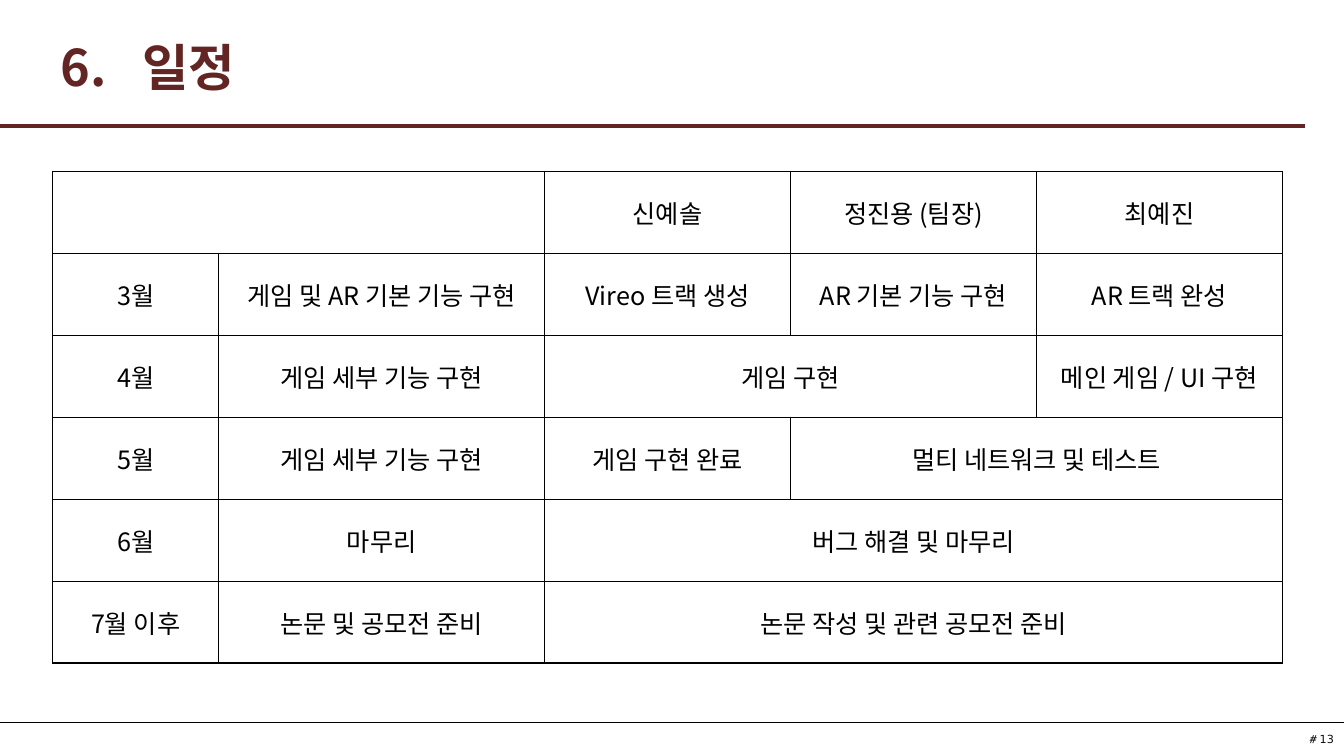
from lxml.etree import SubElement
from pptx import Presentation
from pptx.dml.color import RGBColor
from pptx.enum.shapes import MSO_CONNECTOR
from pptx.enum.text import MSO_ANCHOR, PP_ALIGN
from pptx.oxml import parse_xml
from pptx.oxml.ns import nsdecls, qn
from pptx.util import Inches, Pt

WIDTH, HEIGHT = 13.33, 7.5
MAROON, BLACK, NEAR_BLACK = "632523", "000000", "0D0D0D"
KOREAN_FONT = "Noto Sans CJK KR"

COLUMN_WIDTHS = [1.65, 3.23, 2.44, 2.44, 2.44]
ROW_HEIGHT = 4.88 / 6
# Each entry is (text, number of columns it covers)
SCHEDULE = [
    [("", 2), ("신예솔", 1), ("정진용 (팀장)", 1), ("최예진", 1)],
    [("3월", 1), ("게임 및 AR 기본 기능 구현", 1), ("Vireo 트랙 생성", 1),
     ("AR 기본 기능 구현", 1), ("AR 트랙 완성", 1)],
    [("4월", 1), ("게임 세부 기능 구현", 1), ("게임 구현", 2), ("메인 게임 / UI 구현", 1)],
    [("5월", 1), ("게임 세부 기능 구현", 1), ("게임 구현 완료", 1), ("멀티 네트워크 및 테스트", 2)],
    [("6월", 1), ("마무리", 1), ("버그 해결 및 마무리", 3)],
    [("7월 이후", 1), ("논문 및 공모전 준비", 1), ("논문 작성 및 관련 공모전 준비", 3)],
]


def color(value):
    return RGBColor.from_string(value)


def style(paragraph, size, name, value, bold=False):
    font = paragraph.font
    font.size, font.name, font.bold = Pt(size), name, bold
    font.color.rgb = color(value)
    # Hangul takes its typeface from the East Asian slot
    properties = paragraph._p.pPr.find(qn("a:defRPr"))
    SubElement(properties, qn("a:ea"), typeface=KOREAN_FONT)


def add_rule(slide, y, width, value, weight):
    line = slide.shapes.add_connector(
        MSO_CONNECTOR.STRAIGHT, 0, Inches(y), Inches(width), Inches(y))
    line.line.color.rgb = color(value)
    line.line.width = Pt(weight)
    SubElement(line._element.spPr, qn("a:effectLst"))


def add_title(slide, text, number):
    box = slide.shapes.add_textbox(Inches(0.4), Inches(0.22), Inches(12), Inches(0.87))
    frame = box.text_frame
    frame.word_wrap = True
    frame.vertical_anchor = MSO_ANCHOR.MIDDLE
    frame.margin_left = Inches(0.2)
    paragraph = frame.paragraphs[0]
    paragraph.text = text
    # Automatic number with a hanging indent
    properties = paragraph._p.get_or_add_pPr()
    indent = Inches(0.81)
    properties.set("marL", str(indent))
    properties.set("indent", str(-indent))
    bullet_color = SubElement(properties, qn("a:buClr"))
    SubElement(bullet_color, qn("a:srgbClr"), val=MAROON)
    SubElement(properties, qn("a:buFont"), typeface="+mj-lt")
    SubElement(properties, qn("a:buAutoNum"), type="arabicPeriod", startAt=str(number))
    style(paragraph, 36, "Cabin", MAROON, bold=True)


def add_page_number(slide, number):
    box = slide.shapes.add_textbox(Inches(12.82), Inches(7.22), Inches(0.51), Inches(0.24))
    box.text_frame.word_wrap = False
    paragraph = box.text_frame.paragraphs[0]
    paragraph.alignment = PP_ALIGN.RIGHT
    for text, name in (("# ", "Cabin"), (number, "DejaVu Sans")):
        run = paragraph.add_run()
        run.text = text
        run.font.size, run.font.name = Pt(8), name
        run.font.color.rgb = color(NEAR_BLACK)


def outline(cell):
    cell.fill.background()
    properties = cell._tc.get_or_add_tcPr()
    for position, side in enumerate(("lnL", "lnR", "lnT", "lnB")):
        properties.insert(position, parse_xml(
            f'<a:{side} {nsdecls("a")} w="{Pt(1)}"><a:solidFill>'
            f'<a:srgbClr val="{BLACK}"/></a:solidFill></a:{side}>'))


def add_schedule(slide):
    rows, columns = len(SCHEDULE), len(COLUMN_WIDTHS)
    table = slide.shapes.add_table(
        rows, columns, Inches(0.52), Inches(1.7),
        Inches(sum(COLUMN_WIDTHS)), Inches(ROW_HEIGHT * rows)).table
    table.first_row = table.horz_banding = False
    for column, width in zip(table.columns, COLUMN_WIDTHS):
        column.width = Inches(width)
    for row in table.rows:
        row.height = Inches(ROW_HEIGHT)
    for cell in table.iter_cells():
        outline(cell)
    for row, entries in enumerate(SCHEDULE):
        column = 0
        for text, span in entries:
            cell = table.cell(row, column)
            if span > 1:
                cell.merge(table.cell(row, column + span - 1))
            cell.vertical_anchor = MSO_ANCHOR.MIDDLE
            paragraph = cell.text_frame.paragraphs[0]
            paragraph.text = text
            paragraph.alignment = PP_ALIGN.CENTER
            style(paragraph, 18, KOREAN_FONT, BLACK)
            column += span


def main():
    presentation = Presentation()
    presentation.slide_width = Inches(WIDTH)
    presentation.slide_height = Inches(HEIGHT)
    slide = presentation.slides.add_slide(presentation.slide_layouts[6])
    # Frame of the page
    add_page_number(slide, "13")
    add_rule(slide, 1.25, 12.94, MAROON, 3)
    add_rule(slide, 7.17, WIDTH, BLACK, 1)
    # Content
    add_title(slide, "일정", 6)
    add_schedule(slide)
    presentation.save("out.pptx")


if __name__ == "__main__":
    main()
